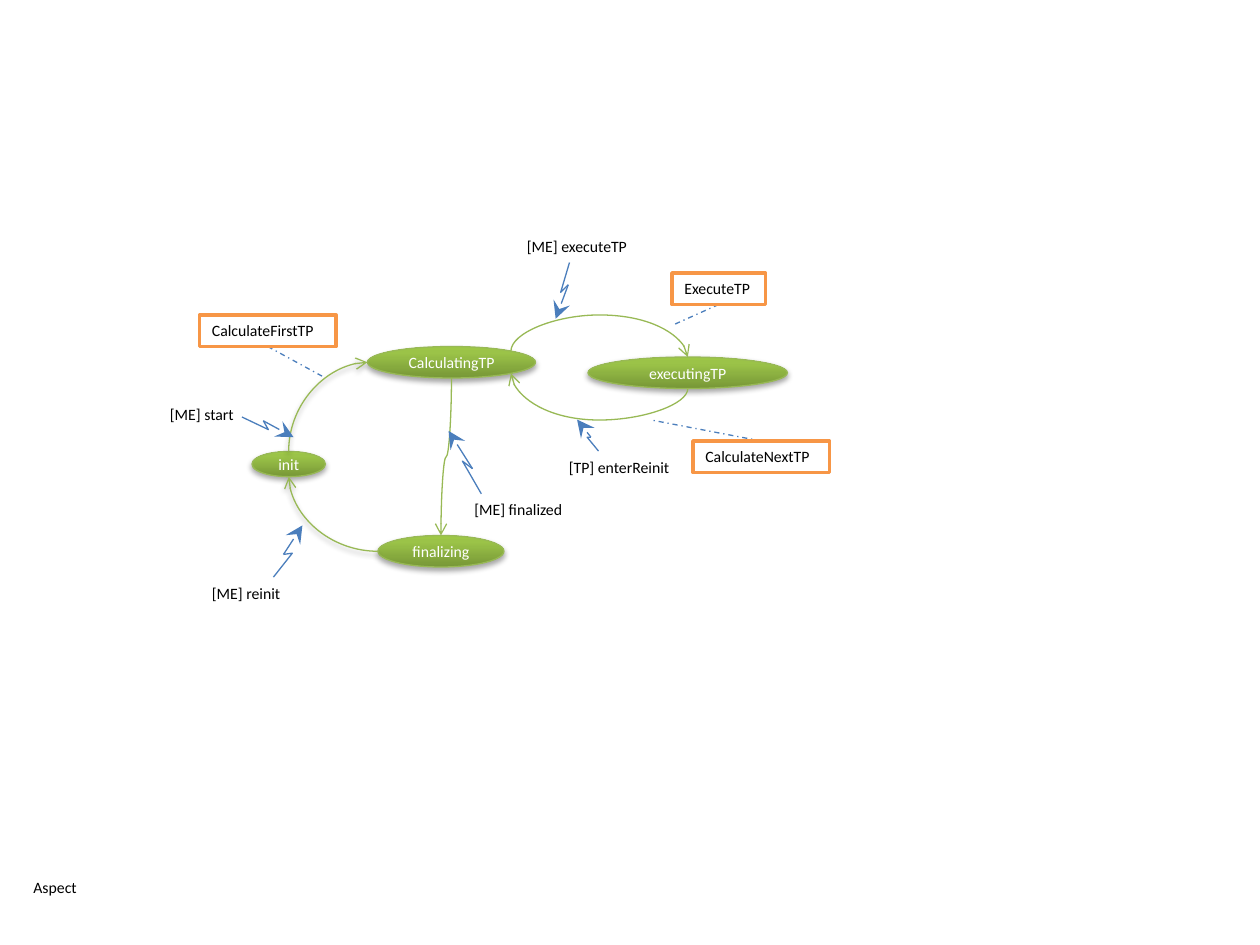
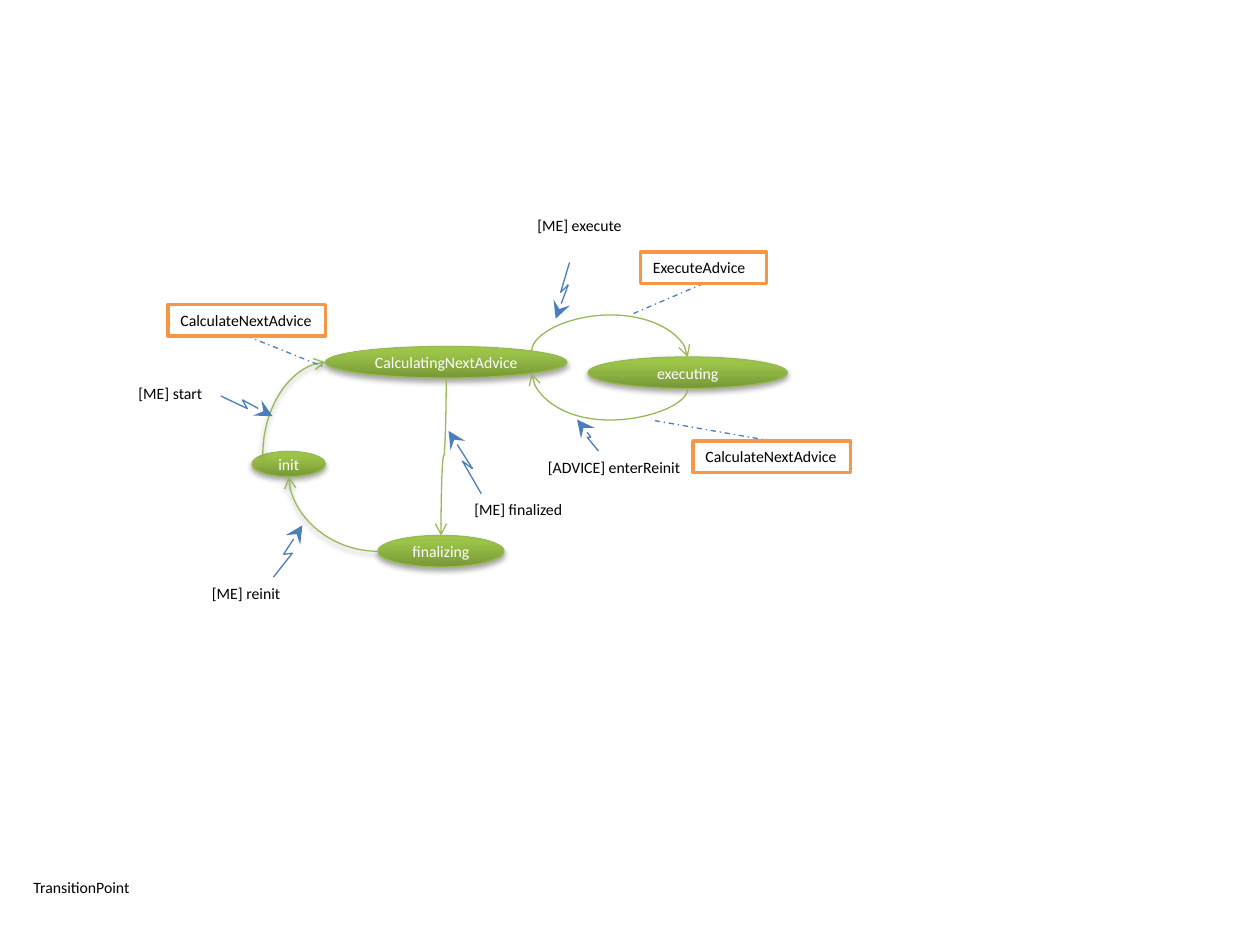
"""Two state machine diagrams: the aspect and the transition point."""
import copy
from dataclasses import dataclass
from typing import Optional

import pptx
import pptx.dml.color
import pptx.enum.dml
import pptx.enum.shapes
import pptx.enum.text
import pptx.oxml.ns
import pptx.util
from lxml import etree

COLORS = {
    "dark": "779737", "mid": "9BC348", "light": "9DC746", "edge": "98B955",
    "orange": "F79646", "blue": "4B7EBC", "white": "FFFFFF", "black": "000000",
}
GRADIENT = ((0, "dark"), (0.8, "mid"), (1, "light"))
FONT, FONT_SIZE = "Calibri", 9
THIN, THICK = 0.75, 2
COLS, ROWS = 120, 90
ROW_HEIGHT = 3
DIAGONAL = 0.5 - 0.5 ** 1.5  # share of the box cut off at an ellipse's 45 degree point

prs = pptx.Presentation()
prs.slide_width = pptx.util.Inches(10)
prs.slide_height = pptx.util.Inches(7.5)
UNIT = prs.slide_width // COLS
Point = tuple[float, float]


@dataclass(frozen=True)
class Box:
    """A captioned area, measured in grid columns and rows."""
    text: str
    x: float
    y: float
    w: float
    h: float = ROW_HEIGHT

    def at(self, fx: float, fy: float) -> Point:
        """Return the point at the given shares of the width and height."""
        return self.x + fx * self.w, self.y + fy * self.h


@dataclass(frozen=True)
class Action:
    """A framed action and the point on a transition it is tied to."""
    box: Box
    target: Point


@dataclass(frozen=True)
class Machine:
    """What differs between the two state machines."""
    caption: Box
    calculating: Box
    executing: str
    start_share: Point
    actions: tuple[Action, ...]
    labels: tuple[Box, ...]
    start_shift: float = 0


# Each bolt: three points of the zigzag, then the arrow tip.
START_BOLT = ((23.04, 39.72), (25.56, 40.92), (25.08, 40.08), (27.96, 41.64))
BOLTS = (
    ((54.24, 25), (53.4, 27.84), (54.12, 27.12), (52.92, 30.36)),
    ((45.84, 47.04), (44.04, 43.92), (45, 44.64), (42.72, 41.04)),
    ((57, 42.96), (55.92, 41.64), (56.28, 41.64), (54.96, 39.96)),
    ((26.04, 54.96), (27.84, 52.68), (27, 52.8), (28.8, 50.04)),
)
INIT = Box("init", 24, 43, 7, 2.4)
FINALIZING = Box("finalizing", 36, 51, 12)
SHARED_LABELS = (Box("[ME] finalized", 44, 47, 17.8), Box("[ME] reinit", 19, 55, 17))

MACHINES = (
    Machine(
        Box("Aspect", 2, 83, 6.6), Box("CalculatingTP", 35, 33, 16), "executingTP", (0.5, 0),
        (Action(Box("ExecuteTP", 64, 26, 8.9), (64, 31)),
         Action(Box("CalculateFirstTP", 19, 30, 13), (31, 36)),
         Action(Box("CalculateNextTP", 66, 42, 13), (62, 40))),
        (Box("[ME] executeTP", 49, 22, 14), Box("[ME] start", 15, 38, 9),
         Box("[TP] enterReinit", 53, 43, 19.7)),
    ),
    Machine(
        Box("TransitionPoint", 2, 83, 11.9), Box("CalculatingNextAdvice", 31, 33, 23),
        "executing", (DIAGONAL, DIAGONAL),
        (Action(Box("ExecuteAdvice", 61, 24, 12), (60, 30)),
         Action(Box("CalculateNextAdvice", 16, 29, 15), (31, 35)),
         Action(Box("CalculateNextAdvice", 66, 42, 15), (62, 40))),
        (Box("[ME] execute", 50, 20, 12), Box("[ME] start", 12, 36, 9),
         Box("[ADVICE] enterReinit", 51, 43, 19.7)),
        start_shift=-2,
    ),
)


def emu(*lengths: float) -> list[int]:
    """Convert grid lengths to EMU."""
    return [round(v * UNIT) for v in lengths]


def rgb(name: str) -> pptx.dml.color.RGBColor:
    """Look up a named colour."""
    return pptx.dml.color.RGBColor.from_string(COLORS[name])


def add_xml(parent, tag: str, **attrs):
    """Append a drawing element to the parent."""
    return etree.SubElement(parent, pptx.oxml.ns.qn(tag), attrs)


def style_line(sp, color: str, width: float = THIN, shadow: bool = False) -> None:
    """Set the outline and either a soft shadow below or none."""
    sp.line.color.rgb = rgb(color)
    sp.line.width = pptx.util.Pt(width)
    effects = add_xml(sp._element.spPr, "a:effectLst")
    if shadow:
        outer = add_xml(effects, "a:outerShdw", blurRad="40000", dist="23000",
                        dir="5400000", rotWithShape="0")
        add_xml(add_xml(outer, "a:srgbClr", val=COLORS["black"]), "a:alpha", val="35000")


def add_arrow(sp, end: str, kind: str, size: str = "med") -> None:
    """Put an arrowhead on the head or tail end of a line."""
    add_xml(sp.line._get_or_add_ln(), f"a:{end}End", type=kind, w=size, len=size)


def write(sp, text: str, color: str = "black", centered: bool = False) -> None:
    """Fill a shape with one small line of text."""
    tf = sp.text_frame
    tf.text = text
    tf.word_wrap = True
    tf.vertical_anchor = (pptx.enum.text.MSO_ANCHOR.MIDDLE if centered
                          else pptx.enum.text.MSO_ANCHOR.TOP)
    if not centered:
        tf.auto_size = pptx.enum.text.MSO_AUTO_SIZE.SHAPE_TO_FIT_TEXT
    p = tf.paragraphs[0]
    p.alignment = pptx.enum.text.PP_ALIGN.CENTER if centered else pptx.enum.text.PP_ALIGN.LEFT
    r = p.runs[0]
    r.font.name, r.font.size = FONT, pptx.util.Pt(FONT_SIZE)
    r.font.color.rgb = rgb(color)


def add_label(shapes, box: Box, wrap: bool = True) -> None:
    """Add plain text."""
    sp = shapes.add_textbox(*emu(box.x, box.y, box.w, box.h))
    write(sp, box.text)
    sp.text_frame.word_wrap = wrap


def add_state(shapes, box: Box) -> None:
    """Add a green ellipse for a state."""
    sp = shapes.add_shape(pptx.enum.shapes.MSO_SHAPE.OVAL, *emu(box.x, box.y, box.w, box.h))
    sp.fill.gradient()
    sp.fill.gradient_angle = 90
    first = sp._element.spPr.find(".//" + pptx.oxml.ns.qn("a:gs"))
    first.addnext(copy.deepcopy(first))
    for stop, (position, color) in zip(sp.fill.gradient_stops, GRADIENT):
        stop.position = position
        stop.color.rgb = rgb(color)
    style_line(sp, "edge", shadow=True)
    write(sp, box.text, "white", centered=True)


def add_line(shapes, start: Point, end: Point):
    """Add a thin blue straight line."""
    sp = shapes.add_connector(pptx.enum.shapes.MSO_CONNECTOR.STRAIGHT, *emu(*start, *end))
    style_line(sp, "blue")
    return sp


def add_action(shapes, action: Action) -> None:
    """Add a framed action with a dash-dot line to its transition."""
    box = action.box
    below = action.target[1] > box.y
    sp = add_line(shapes, box.at(0.5, 1 if below else 0), action.target)
    sp.line.dash_style = pptx.enum.dml.MSO_LINE.DASH_DOT
    sp = shapes.add_shape(pptx.enum.shapes.MSO_SHAPE.RECTANGLE, *emu(box.x, box.y, box.w, box.h))
    sp.fill.solid()
    sp.fill.fore_color.rgb = rgb("white")
    style_line(sp, "orange", THICK)
    write(sp, box.text)


def add_bolt(shapes, points: tuple[Point, ...], shift: float = 0) -> None:
    """Add a grouped lightning arrow for an event."""
    group = shapes.add_group_shape().shapes
    first, *bends, tip = [(x + shift, y + shift) for x, y in points]
    builder = group.build_freeform(*emu(*first))
    builder.add_line_segments([emu(*bend) for bend in bends], close=False)
    sp = builder.convert_to_shape()
    sp.fill.background()
    style_line(sp, "blue")
    add_arrow(add_line(group, bends[-1], tip), "tail", "stealth", "lg")


def add_curve(shapes, start: Point, end: Point, arrow: str = "tail",
              bend: Optional[float] = None, shadow: bool = False) -> None:
    """Add a curved transition; bend is the row where an S or U curve turns."""
    (x1, y1), (x2, y2) = start, end
    w, h = abs(x2 - x1), abs(y2 - y1)
    if x2 < x1:
        rotation, flips = 180, ()
    else:  # leaves vertically, so the box lies on its side
        w, h = h, w
        rotation, flips = (90, ("flipH", "flipV")) if y2 < y1 else (270, ("flipH",))
    sp = shapes.add_connector(pptx.enum.shapes.MSO_CONNECTOR.CURVE, 0, 0, 0, 0)
    sp.left, sp.top, sp.width, sp.height = emu((x1 + x2 - w) / 2, (y1 + y2 - h) / 2, w, h)
    xfrm = sp._element.spPr.find(pptx.oxml.ns.qn("a:xfrm"))
    xfrm.set("rot", str(rotation * 60000))
    for flip in flips:
        xfrm.set(flip, "1")
    geom = sp._element.spPr.find(pptx.oxml.ns.qn("a:prstGeom"))
    if bend is None:
        geom.set("prst", "curvedConnector2")
    else:
        share = round((bend - y1) / (y2 - y1) * 100000)
        add_xml(geom.find(pptx.oxml.ns.qn("a:avLst")), "a:gd", name="adj1", fmla=f"val {share}")
    style_line(sp, "edge", shadow=shadow)
    add_arrow(sp, arrow, "arrow")


def build(machine: Machine) -> None:
    """Draw one state machine on a new slide."""
    shapes = prs.slides.add_slide(prs.slide_layouts[6]).shapes
    calculating = machine.calculating
    executing = Box(machine.executing, 56, 34, 19)
    for state in (INIT, calculating, executing, FINALIZING):
        add_state(shapes, state)

    right = 1 - DIAGONAL
    add_curve(shapes, INIT.at(*machine.start_share), calculating.at(0, 0.5), shadow=True)
    add_curve(shapes, calculating.at(right, right), executing.at(0.5, 1), "head", bend=40)
    add_curve(shapes, calculating.at(right, DIAGONAL), executing.at(0.5, 0), bend=30)
    add_curve(shapes, FINALIZING.at(0.5, 0), calculating.at(0.5, 1), "head", bend=43.5)
    add_curve(shapes, FINALIZING.at(0, 0.5), INIT.at(0.5, 1), shadow=True)

    for action in machine.actions:
        add_action(shapes, action)
    for label in machine.labels + SHARED_LABELS:
        add_label(shapes, label)
    add_label(shapes, machine.caption, wrap=False)
    add_bolt(shapes, START_BOLT, machine.start_shift)
    for bolt in BOLTS:
        add_bolt(shapes, bolt)


for machine in MACHINES:
    build(machine)
prs.save("out.pptx")
